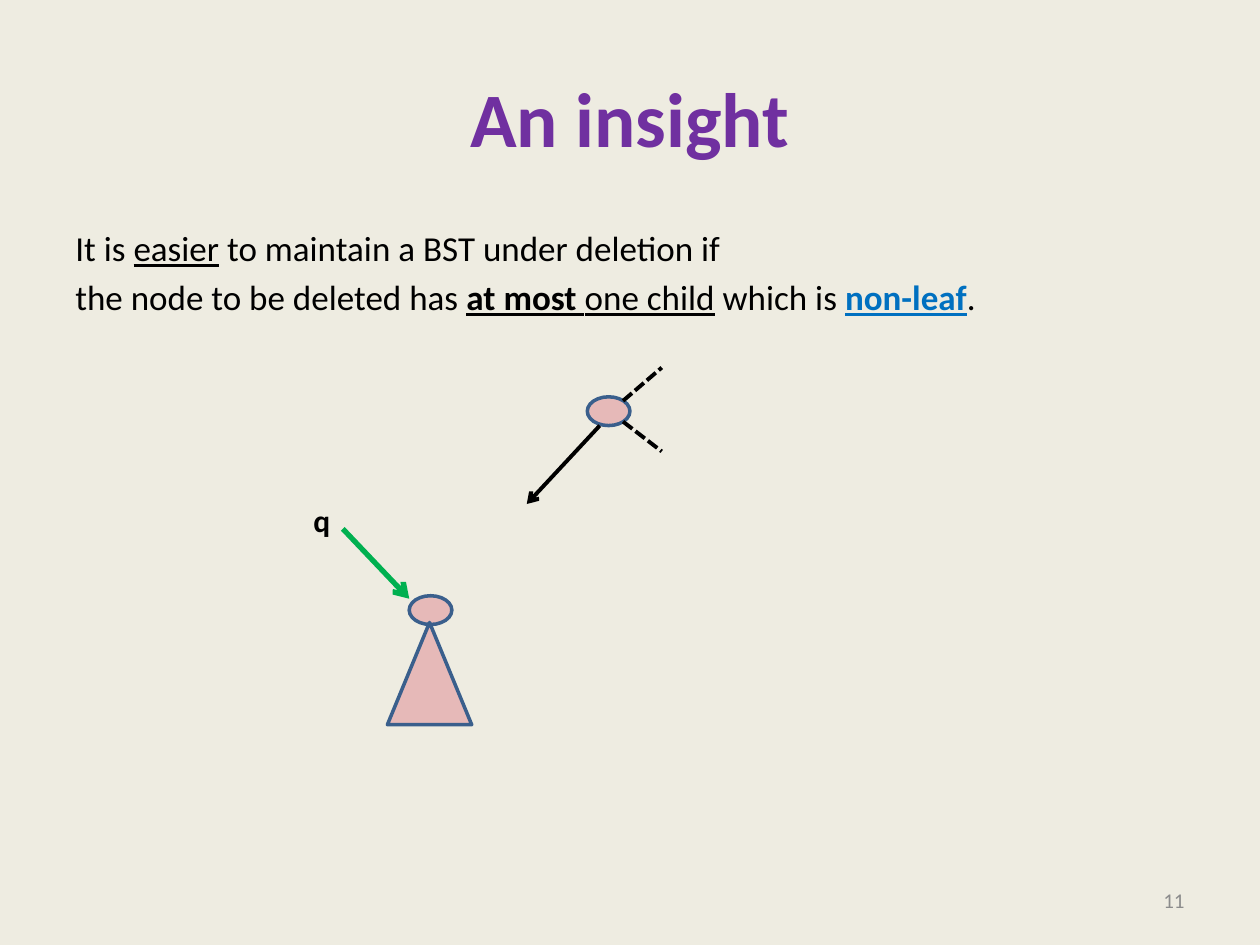
"""Build the slide on deleting a tree node that has at most one child."""
from dataclasses import dataclass

from lxml import etree
from pptx import Presentation
from pptx.dml.color import RGBColor
from pptx.enum.dml import MSO_LINE
from pptx.enum.shapes import MSO_CONNECTOR, MSO_SHAPE
from pptx.enum.text import MSO_ANCHOR, PP_ALIGN
from pptx.oxml.ns import qn
from pptx.util import Cm, Pt

OVAL = MSO_SHAPE.OVAL
CONE = MSO_SHAPE.ISOSCELES_TRIANGLE
LINE = MSO_CONNECTOR.STRAIGHT
DASH = MSO_LINE.SQUARE_DOT
MID = MSO_ANCHOR.MIDDLE
LEFT, CENTER, RIGHT = PP_ALIGN.LEFT, PP_ALIGN.CENTER, PP_ALIGN.RIGHT


@dataclass(frozen=True)
class Theme:
    font: str = "Calibri"
    back: str = "EEECE1"
    title: str = "7030A0"
    ink: str = "000000"
    key: str = "0070C0"
    gray: str = "8C8C8C"
    node: str = "E6B9B8"
    edge: str = "3A5F8C"
    mark: str = "00B050"
    head: int = 44
    body: int = 20
    label: int = 18
    foot: int = 12


theme = Theme()


def style(run, size, color, bold=False, under=False):
    font = run.font
    font.name, font.size = theme.font, Pt(size)
    font.bold, font.underline = bold, under
    font.color.rgb = RGBColor.from_string(color)


def write(frame, text, size, color, bold, align):
    frame.text = text
    para = frame.paragraphs[0]
    para.alignment = align
    style(para.runs[0], size, color, bold)


deck = Presentation()
deck.slide_width, deck.slide_height = Cm(25.4), Cm(19.05)
slide = deck.slides.add_slide(deck.slide_layouts[5])
shapes = slide.shapes
fill = slide.background.fill
fill.solid()
fill.fore_color.rgb = RGBColor.from_string(theme.back)

title = shapes.title
title.left, title.top = Cm(1.27), Cm(0.76)
title.width, title.height = Cm(22.86), Cm(3.18)
title.text_frame.vertical_anchor = MID
write(title.text_frame, "An insight", theme.head, theme.title, True, CENTER)

body = shapes.add_textbox(Cm(1.27), Cm(4.45), Cm(22.86), Cm(12.57)).text_frame
body.word_wrap = True
lines = [
    [("It is ", theme.ink, False, False),
     ("easier", theme.ink, False, True),
     (" to maintain a BST under deletion if", theme.ink, False, False)],
    [("the node to be deleted has ", theme.ink, False, False),
     ("at most ", theme.ink, True, True),
     ("one child", theme.ink, False, True),
     (" which is ", theme.ink, False, False),
     ("non-leaf", theme.key, True, True),
     (".", theme.ink, False, False)],
]
for i, parts in enumerate(lines):
    para = body.add_paragraph() if i else body.paragraphs[0]
    para.space_before = Pt(0.2 * theme.body if i else 0)
    for text, color, bold, under in parts:
        run = para.add_run()
        run.text = text
        style(run, theme.body, color, bold, under)

page = shapes.add_textbox(Cm(18.2), Cm(17.65), Cm(5.93), Cm(1.01)).text_frame
page.word_wrap = True
page.vertical_anchor = MID
write(page, "11", theme.foot, theme.gray, False, RIGHT)

label = shapes.add_textbox(Cm(6.07), Cm(9.98), Cm(0.86), Cm(1.02)).text_frame
label.word_wrap = False
write(label, "q", theme.label, theme.ink, True, LEFT)

nodes = [
    (OVAL, 11.84, 8, 0.86, 0.58),
    (OVAL, 8.25, 12.01, 0.86, 0.58),
    (CONE, 7.81, 12.55, 1.7, 2.06),
]
for kind, x, y, w, h in nodes:
    node = shapes.add_shape(kind, Cm(x), Cm(y), Cm(w), Cm(h))
    node.shadow.inherit = False
    node.fill.solid()
    node.fill.fore_color.rgb = RGBColor.from_string(theme.node)
    node.line.color.rgb = RGBColor.from_string(theme.edge)
    node.line.width = Pt(2)

links = [
    (12.09, 8.58, 10.62, 10.16, theme.ink, 2.25, False),
    (12.56, 8.08, 13.34, 7.41, theme.ink, 2.25, True),
    (12.56, 8.5, 13.34, 9.1, theme.ink, 2.25, True),
    (6.91, 10.66, 8.25, 12.07, theme.mark, 3, False),
]
for x, y, ex, ey, color, width, dashed in links:
    link = shapes.add_connector(LINE, Cm(x), Cm(y), Cm(ex), Cm(ey))
    link.line.color.rgb = RGBColor.from_string(color)
    link.line.width = Pt(width)
    props = link._element.spPr
    etree.SubElement(props, qn("a:effectLst"))
    if dashed:
        link.line.dash_style = DASH
    else:
        etree.SubElement(props.find(qn("a:ln")), qn("a:tailEnd"), type="arrow")

deck.save("out.pptx")
